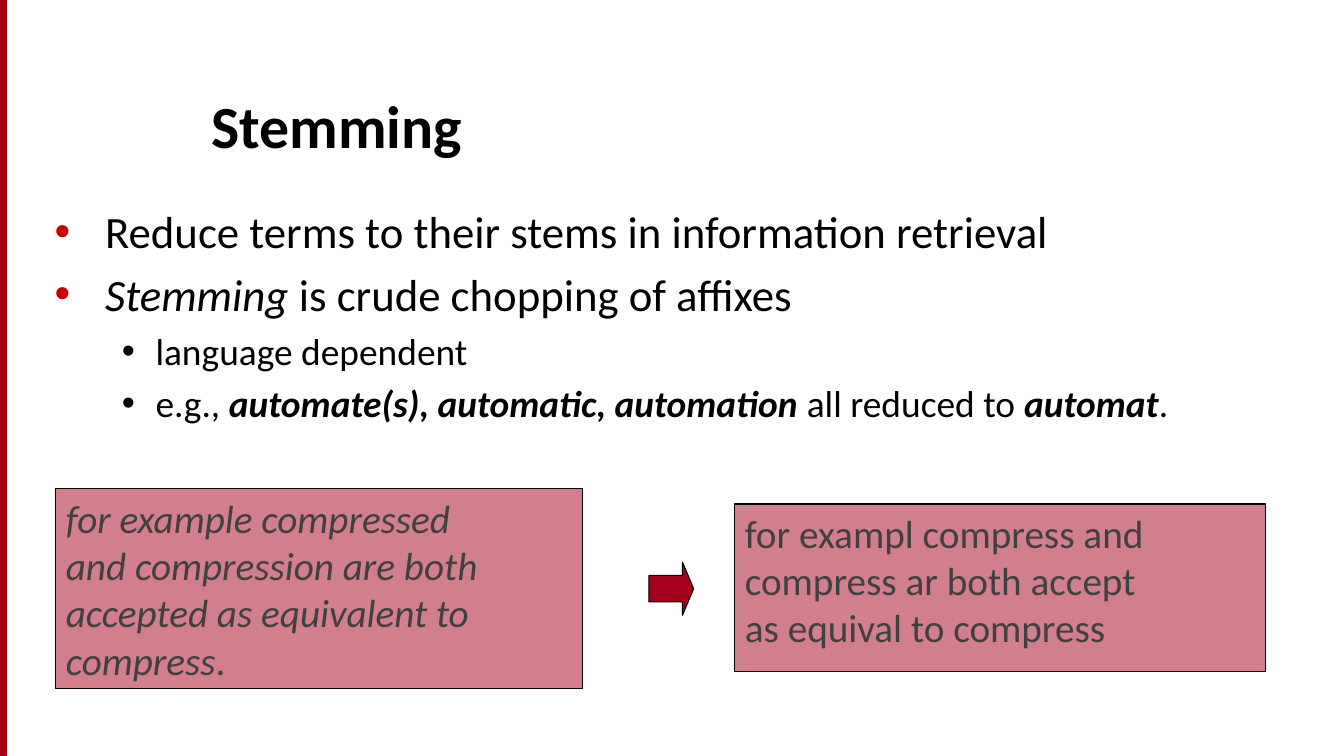
from lxml.etree import SubElement
from pptx import Presentation
from pptx.dml.color import RGBColor
from pptx.enum.shapes import MSO_SHAPE as Preset
from pptx.enum.text import MSO_ANCHOR as Anchor, PP_ALIGN as Align
from pptx.oxml.ns import qn
from pptx.util import Pt

COLORS = {
    "black": "000000",
    "crimson": "A4001D",
    "edge": "A40508",
    "bullet": "CC0000",
    "gray": "404040",
}
FONT = "Calibri"


def color(name):
    return RGBColor.from_string(COLORS[name])


def add_paragraph(frame, runs, size, ink="black", bold=False, italic=False, before=0):
    first = frame.paragraphs[0]
    paragraph = first if not first.runs else frame.add_paragraph()
    paragraph.alignment = Align.LEFT
    paragraph.space_before = Pt(before)
    for text, style in runs:
        run = paragraph.add_run()
        run.text = text
        run.font.name = FONT
        run.font.size = Pt(size)
        run.font.color.rgb = color(ink)
        run.font.bold = bold or "b" in style
        run.font.italic = italic or "i" in style
    return paragraph


def set_bullet(paragraph, ink, margin, indent):
    properties = paragraph._p.get_or_add_pPr()
    properties.set("marL", str(Pt(margin)))
    properties.set("indent", str(Pt(-indent)))
    bullet_color = SubElement(properties, qn("a:buClr"))
    SubElement(bullet_color, qn("a:srgbClr"), val=COLORS[ink])
    SubElement(properties, qn("a:buFont"), typeface="Arial")
    SubElement(properties, qn("a:buChar"), char="•")


def add_text_frame(slide, box, anchor=Anchor.TOP):
    frame = slide.shapes.add_textbox(*map(Pt, box)).text_frame
    frame.word_wrap = True
    frame.vertical_anchor = anchor
    return frame


def add_block(slide, preset, box, line="black", fill="crimson", opacity=None):
    shape = slide.shapes.add_shape(preset, *map(Pt, box))
    shape.shadow.inherit = False
    shape.fill.solid()
    shape.fill.fore_color.rgb = color(fill)
    shape.line.color.rgb = color(line)
    shape.line.width = Pt(0.75)
    if opacity is not None:
        fill_color = shape._element.spPr.find(qn("a:solidFill"))[0]
        SubElement(fill_color, qn("a:alpha"), val=str(opacity * 1000))
    return shape


def add_title(slide, box):
    frame = add_text_frame(slide, box, Anchor.BOTTOM)
    add_paragraph(frame, [("Stemming", "")], 42.7, bold=True)


def add_bullets(slide, box):
    levels = [
        dict(size=32, ink="bullet", margin=36, indent=36),
        dict(size=26.7, ink="black", margin=72, indent=24),
    ]
    items = [
        (0, [("Reduce terms to their stems in information retrieval", "")]),
        (0, [("Stemming", "i"), (" is crude chopping of affixes", "")]),
        (1, [("language dependent", "")]),
        (1, [
            ("e.g., ", ""),
            ("automate(s), automatic, automation", "bi"),
            (" all reduced to ", ""),
            ("automat", "bi"),
            (".", ""),
        ]),
    ]
    frame = add_text_frame(slide, box)
    for index, runs in items:
        level = levels[index]
        paragraph = add_paragraph(frame, runs, level["size"], before=level["size"] * 0.2)
        paragraph.level = index
        set_bullet(paragraph, level["ink"], level["margin"], level["indent"])


def add_sample(slide, box, lines, anchor, wrap):
    frame = add_block(slide, Preset.RECTANGLE, box, opacity=50).text_frame
    frame.word_wrap = wrap
    frame.vertical_anchor = anchor
    for runs in lines:
        add_paragraph(frame, runs, 28, ink="gray")


def add_example(slide, box):
    left, top, width, height = box
    before = [
        [("for example compressed", "i")],
        [("and compression are both", "i")],
        [("accepted as equivalent to", "i")],
        [("compress", "i"), (".", "")],
    ]
    after = [
        [("for exampl compress and", "")],
        [("compress ar both accept", "")],
        [("as equival to compress", "")],
    ]
    after_width = 379
    after_left = left + width - after_width
    add_sample(slide, (left, top, 376, height), before, Anchor.MIDDLE, True)
    add_sample(slide, (after_left, top + 11, after_width, 120), after, Anchor.TOP, False)
    arrow_box = (left + 423.5, top + 52.5, 32, 38)
    arrow = add_block(slide, Preset.RIGHT_ARROW, arrow_box)
    arrow.adjustments[0] = 0.5
    arrow.adjustments[1] = 0.25


def build_slide(presentation):
    slide = presentation.slides.add_slide(presentation.slide_layouts[6])
    add_block(slide, Preset.RECTANGLE, (0, 0, 4.5, 540), line="crimson", fill="edge")
    add_title(slide, (144, 40, 784, 78))
    add_bullets(slide, (32, 142, 896, 350))
    add_example(slide, (40, 349, 864, 143))


def main():
    presentation = Presentation()
    presentation.slide_width = Pt(960)
    presentation.slide_height = Pt(540)
    build_slide(presentation)
    presentation.save("out.pptx")


if __name__ == "__main__":
    main()
